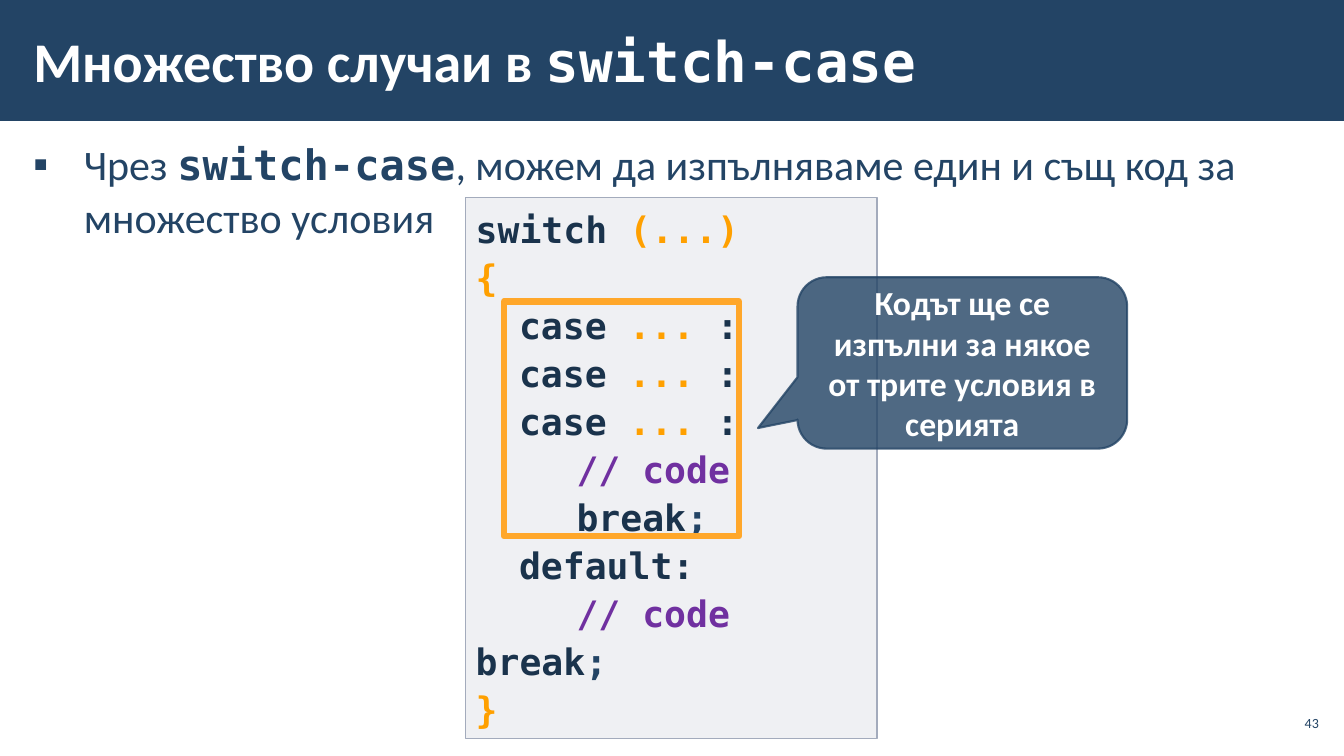
from lxml import etree
from pptx import Presentation
from pptx import util as u
from pptx.dml.color import RGBColor
from pptx.enum import shapes, text
from pptx.oxml.ns import qn

deck = Presentation()
deck.slide_width, deck.slide_height = u.Inches(13.33), u.Inches(7.5)
slide = deck.slides.add_slide(deck.slide_layouts[6])
col, row = deck.slide_width / 100, deck.slide_height / 100

hues = {"navy": "234465", "white": "FFFFFF", "ink": "1A334C", "gold": "FFA000",
        "frame": "FFA72A", "note": "7030A0", "panel": "C2C7D2", "edge": "A3ABBC"}
sans, mono = "Calibri", "DejaVu Sans Mono"
form = shapes.MSO_SHAPE
side = text.PP_ALIGN


def draw(kind, spot, fill=None, line=None, width=1, fade=100, clear=100):
    x, y, w, h = spot
    box = slide.shapes.add_shape(kind, *map(int, (x * col, y * row, w * col, h * row)))
    box.shadow.inherit = False
    for part, hue, share in ((box.fill, fill, fade), (box.line.fill, line, clear)):
        if not hue:
            part.background()
            continue
        part.solid()
        part.fore_color.rgb = RGBColor.from_string(hues[hue])
        if share < 100:
            tree = box._element.spPr if part is box.fill else box._element.spPr.find(qn("a:ln"))
            tint = tree.find(qn("a:solidFill"))[0]
            etree.SubElement(tint, qn("a:alpha")).set("val", str(share * 1000))
    if line:
        box.line.width = u.Pt(width)
    return box


def write(para, runs, size, hue, face=sans, bold=False, align=side.LEFT):
    para.alignment = align
    base = para.font
    base.size, base.name, base.bold = u.Pt(size), face, bold
    base.color.rgb = RGBColor.from_string(hues[hue])
    for words, tone, font, heavy in runs:
        run = para.add_run()
        run.text = words
        look = run.font
        look.size, look.name, look.bold = u.Pt(size), font or face, heavy or bold
        look.color.rgb = RGBColor.from_string(hues[tone or hue])


draw(form.RECTANGLE, (0, 0, 100, 16), "navy")

middle, top = text.MSO_ANCHOR.MIDDLE, text.MSO_ANCHOR.TOP
term = ("switch-case", None, mono, True)
texts = [
    ((1.58, 17.47, 96.92, 75.87), top, 0.12, 30, "navy", False, side.LEFT,
     [("Чрез ", None, None, False), term,
      (", можем да изпълняваме един и същ код за множество условия", None, None, False)]),
    ((1.58, 1.47, 77.94, 12.93), middle, 0.12, 40, "white", True, side.LEFT,
     [("Множество случаи в ", None, None, True), term]),
    ((94.9, 93.33, 3.53, 4.53), middle, 0.04, 10, "navy", False, side.RIGHT,
     [("43", None, None, False)]),
]
paras = []
for (x, y, w, h), anchor, pad, size, hue, bold, align, runs in texts:
    box = slide.shapes.add_textbox(*map(int, (x * col, y * row, w * col, h * row)))
    frame = box.text_frame
    frame.word_wrap, frame.vertical_anchor = True, anchor
    frame.margin_left = frame.margin_right = u.Inches(pad)
    frame.margin_top = frame.margin_bottom = u.Inches(0.04)
    para = frame.paragraphs[0]
    write(para, runs, size, hue, sans, bold, align)
    paras.append(para)

body = paras[0]
body.line_spacing = 1.05
body.space_before = body.space_after = u.Pt(6)
props = body._p.get_or_add_pPr()
props.set("marL", str(u.Inches(0.5)))
props.set("indent", str(-u.Inches(0.5)))
for tag, key, value in (("a:buFont", "typeface", sans), ("a:buChar", "char", "▪")):
    mark = etree.Element(qn(tag))
    mark.set(key, value)
    props.insert_element_before(mark, "a:tabLst", "a:defRPr", "a:extLst")

code = draw(form.RECTANGLE, (34.66, 26.13, 30.61, 71.6), "panel", "edge", fade=25)
frame = code.text_frame
frame.vertical_anchor = top
case = (0.43, [("case ", "ink"), ("... ", "gold"), (":", "ink")])
note = (1, [("// code", "note")])
stop = [("break", "ink"), (";", "navy")]
lines = [
    (0, [("switch ", "ink"), ("(...)", "gold")]),
    (0, [("{", "gold")]),
    case, case, case, note,
    (1, stop),
    (0.43, [("default:", "ink")]),
    note,
    (0, stop),
    (0, [("}", "gold")]),
]
for spot, (inset, runs) in enumerate(lines):
    para = frame.add_paragraph() if spot else frame.paragraphs[0]
    write(para, [(words, hue, mono, True) for words, hue in runs], 26, "ink", mono, True)
    para.line_spacing = 1.1
    para._p.get_or_add_pPr().set("marL", str(u.Inches(inset)))

draw(form.RECTANGLE, (37.51, 39.87, 17.48, 31.07), line="frame", width=4.5)

call = draw(form.ROUNDED_RECTANGULAR_CALLOUT, (59.34, 36.67, 24.53, 22.67),
            "navy", "navy", 1.5, 80, 80)
for spot, value in enumerate((-0.62, 0.38, 0.17)):
    call.adjustments[spot] = value
call.text_frame.vertical_anchor = middle
call.text_frame.word_wrap = True
write(call.text_frame.paragraphs[0],
      [("Кодът ще се изпълни за някое от трите условия в серията", None, None, True)],
      24, "white", sans, True, side.CENTER)

deck.save("out.pptx")
